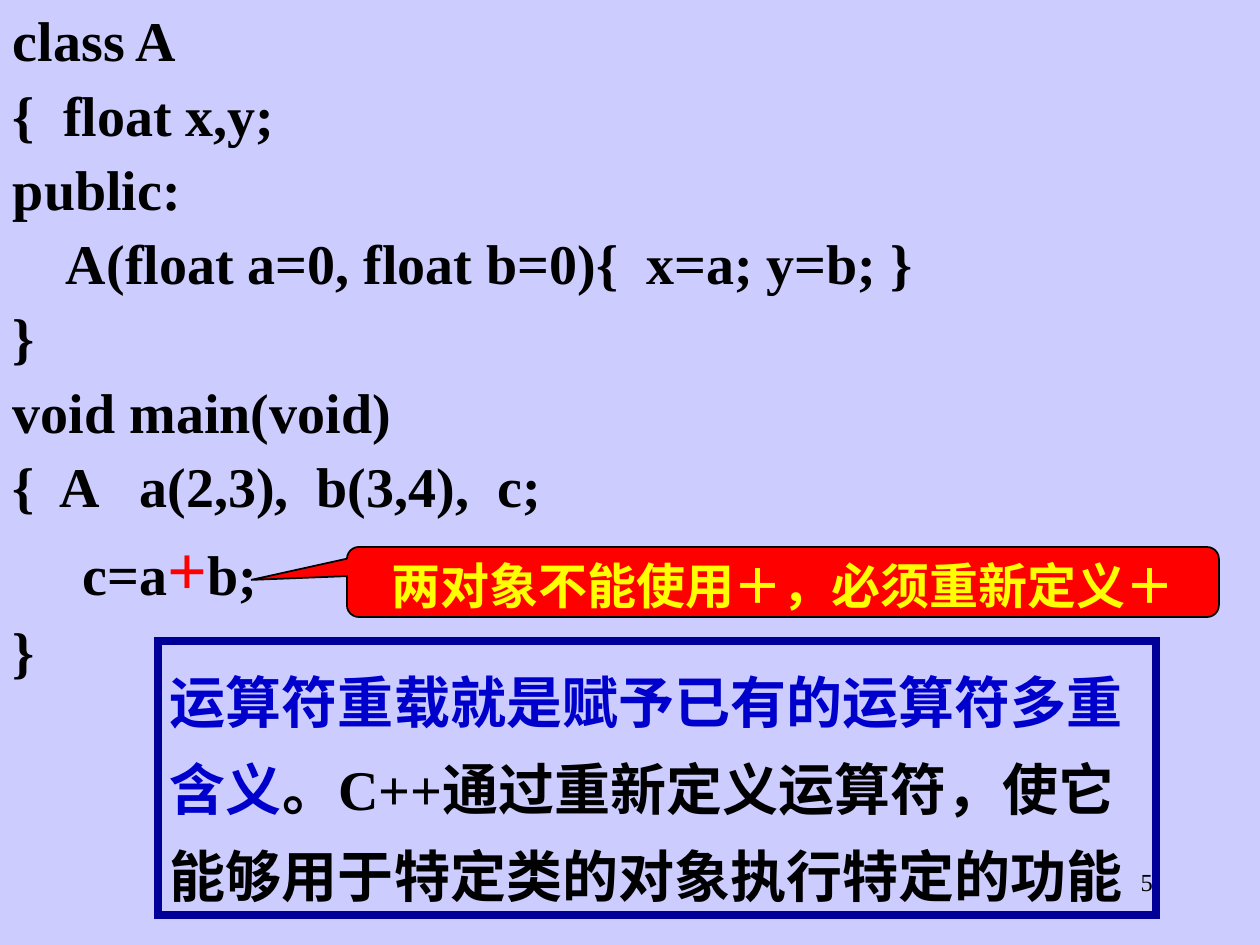
from pptx import Presentation
from pptx.dml.color import RGBColor
from pptx.enum.shapes import MSO_SHAPE as Shape
from pptx.enum.text import MSO_ANCHOR as Anchor, PP_ALIGN as Align
from pptx.oxml.ns import qn
from pptx.util import Emu, Pt
from lxml.etree import SubElement

COLORS = {
    "background": "CCCCFF",
    "black": "000000",
    "red": "FF0000",
    "yellow": "FFFF00",
    "navy": "000099",
    "blue": "0000CC",
}
FONT = "Times New Roman"
CODE = [
    ["class A"],
    ["{  float x,y;"],
    ["public:"],
    ["    A(float a=0, float b=0){  x=a; y=b; }"],
    ["}"],
    ["void main(void)"],
    ["{  A   a(2,3),  b(3,4),  c;"],
    ["     c=a", ("+", {"size": 40, "color": "red"}), "b;"],
    ["}"],
]
WARNING = [["两对象不能使用＋，必须重新定义＋"]]
DEFINITION = [[
    ("运算符重载就是赋予已有的运算符多重含义", {"color": "blue"}),
    "。C++通过重新定义运算符，使它能够用于特定类的对象执行特定的功能",
]]


def px(length):
    return Emu(length * 914400 // 126)


def rgb(name):
    return RGBColor.from_string(COLORS[name])


def add_span(para, text, size=32, color="black", bold=True):
    span = para.add_run()
    span.text = text
    span.font.name = FONT
    span.font.size = Pt(size)
    span.font.bold = bold
    span.font.color.rgb = rgb(color)


def write(box, paragraphs, align=Align.LEFT, anchor=Anchor.TOP, insets=(13, 6, 13, 6),
          line_spacing=1.0, gap=0, **style):
    frame = box.text_frame
    frame.word_wrap = True
    frame.vertical_anchor = anchor
    (frame.margin_left, frame.margin_top,
     frame.margin_right, frame.margin_bottom) = map(px, insets)
    for index, spans in enumerate(paragraphs):
        para = frame.add_paragraph() if index else frame.paragraphs[0]
        para.alignment = align
        para.line_spacing = line_spacing
        para.space_before = Pt(gap if index else 0)
        for item in spans:
            text, own = (item, {}) if isinstance(item, str) else item
            add_span(para, text, **{**style, **own})


def add_text(page, place, paragraphs, **style):
    write(page.shapes.add_textbox(*map(px, place)), paragraphs, **style)


def add_panel(page, kind, place, line, width, fill=None):
    panel = page.shapes.add_shape(kind, *map(px, place))
    panel.shadow.inherit = False
    if fill:
        panel.fill.solid()
        panel.fill.fore_color.rgb = rgb(fill)
    else:
        panel.fill.background()
    panel.line.color.rgb = rgb(line)
    panel.line.width = Pt(width)
    SubElement(panel.line._get_or_add_ln(), qn("a:miter"), lim="800000")
    return panel


def add_callout(page):
    callout = add_panel(page, Shape.ROUNDED_RECTANGULAR_CALLOUT,
                        (347, 547, 872, 70), "black", 1, fill="red")
    for index, value in enumerate((-0.61, -0.03, 0.17)):
        callout.adjustments[index] = value
    write(callout, WARNING, align=Align.CENTER, anchor=Anchor.MIDDLE,
          insets=(3, 0, 3, 0), line_spacing=1.1, size=28, color="yellow")


def add_definition(page):
    panel = add_panel(page, Shape.RECTANGLE, (158, 641, 998, 274), "navy", 4.5)
    write(panel, DEFINITION, insets=(12, 6, 6, 6), line_spacing=1.3)


def main():
    """Build the operator overloading slide."""
    deck = Presentation()
    deck.slide_width, deck.slide_height = px(1260), px(945)
    page = deck.slides.add_slide(deck.slide_layouts[6])
    page.background.fill.solid()
    page.background.fill.fore_color.rgb = rgb("background")
    add_text(page, (904, 861, 262, 63), [["5"]], align=Align.RIGHT, size=14, bold=False)
    add_text(page, (0, 0, 1260, 690), CODE, gap=4)
    add_callout(page)
    add_definition(page)
    deck.save("out.pptx")


if __name__ == "__main__":
    main()
